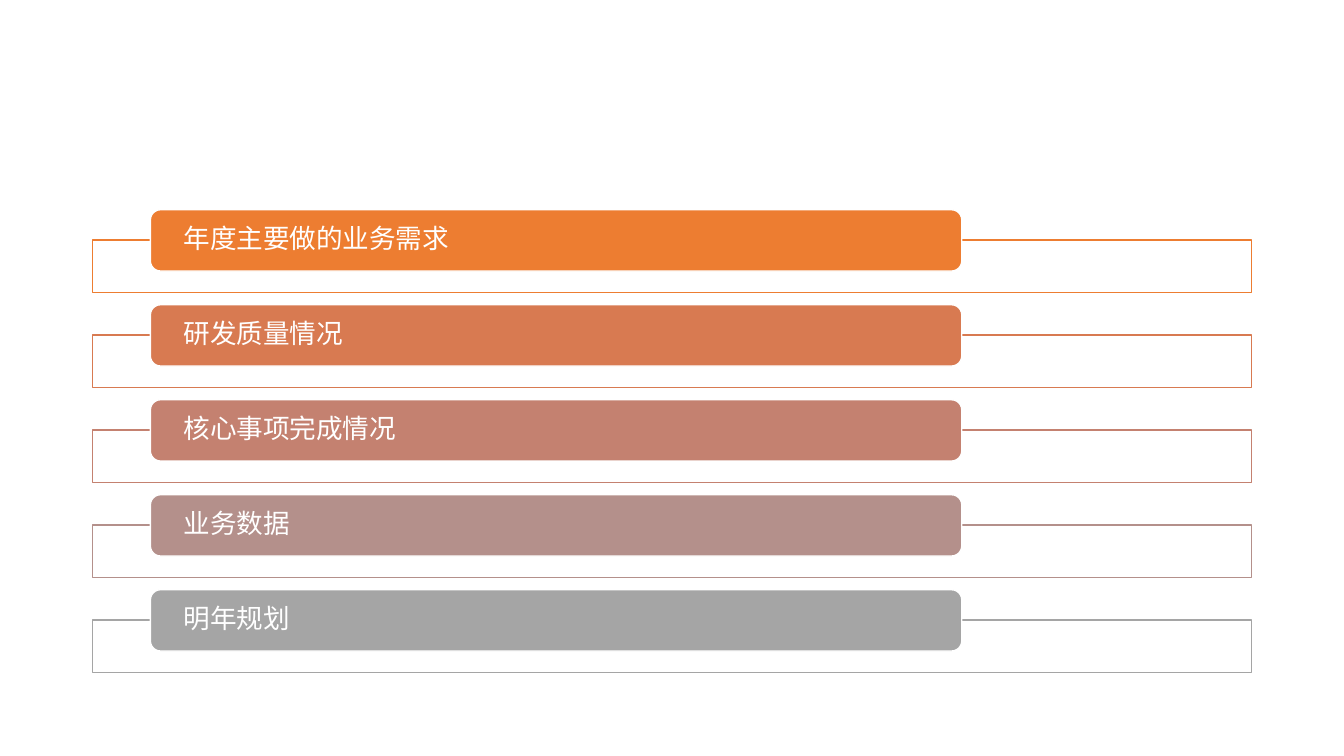
import pptx
import pptx.dml.color
import pptx.enum.shapes
import pptx.enum.text
import pptx.oxml.ns
import pptx.util
from lxml import etree

Pt = pptx.util.Pt
SHAPES = pptx.enum.shapes.MSO_SHAPE
FONT = "Noto Sans CJK SC"
TOPICS = [
    ("年度主要做的业务需求", "ED7D31"),
    ("研发质量情况", "D87A51"),
    ("核心事项完成情况", "C48170"),
    ("业务数据", "B4908B"),
    ("明年规划", "A5A5A5"),
]
FIRST_TOP = 149.8
PITCH = 67.86
FRAME_DROP = 21.6


def color(value):
    return pptx.dml.color.RGBColor.from_string(value)


def add_box(page, kind, left, top, width, height, fill, line):
    box = page.shapes.add_shape(kind, Pt(left), Pt(top), Pt(width), Pt(height))
    box.shadow.inherit = False
    box.fill.solid()
    box.fill.fore_color.rgb = color(fill)
    box.line.color.rgb = color(line)
    box.line.width = Pt(1)
    return box


def set_opacity(box, percent):
    fill_color = box.fill._xPr.find(".//" + pptx.oxml.ns.qn("a:srgbClr"))
    alpha = etree.SubElement(fill_color, pptx.oxml.ns.qn("a:alpha"))
    alpha.set("val", str(percent * 1000))


def add_frame(page, top, line):
    frame = add_box(page, SHAPES.RECTANGLE, 66.2, top, 828, 37.4, "FFFFFF", line)
    set_opacity(frame, 90)


def set_label(box, text):
    frame = box.text_frame
    frame.text = text
    frame.word_wrap = True
    frame.vertical_anchor = pptx.enum.text.MSO_ANCHOR.MIDDLE
    frame.margin_left = frame.margin_right = Pt(21.6)
    frame.margin_top = frame.margin_bottom = Pt(0)
    para = frame.paragraphs[0]
    para.alignment = pptx.enum.text.PP_ALIGN.LEFT
    para.line_spacing = 0.9
    span = para.runs[0]
    span.font.size = Pt(19)
    span.font.name = FONT
    span.font.color.rgb = color("FFFFFF")
    east_asian = etree.SubElement(span.font._element, pptx.oxml.ns.qn("a:ea"))
    east_asian.set("typeface", FONT)


def add_bar(page, top, text, fill):
    bar = add_box(page, SHAPES.ROUNDED_RECTANGLE, 107.4, top, 579.6, 43.8, fill, "FFFFFF")
    set_label(bar, text)


def main():
    deck = pptx.Presentation()
    deck.slide_width = Pt(960)
    deck.slide_height = Pt(540)
    page = deck.slides.add_slide(deck.slide_layouts[6])
    for index, (text, fill) in enumerate(TOPICS):
        top = FIRST_TOP + index * PITCH
        add_frame(page, top + FRAME_DROP, fill)
        add_bar(page, top, text, fill)
    deck.save("out.pptx")


if __name__ == "__main__":
    main()
